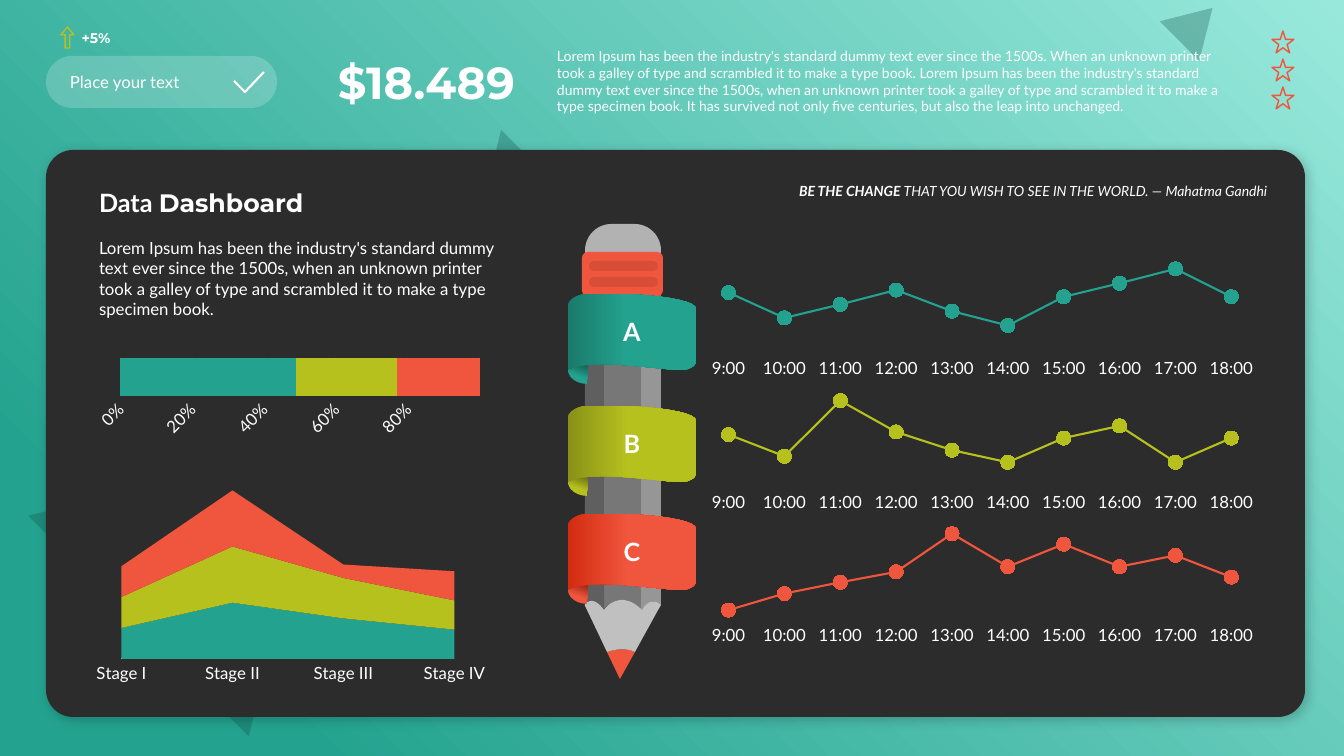
from lxml import etree
from pptx import Presentation
from pptx.chart.data import CategoryChartData
from pptx.dml.color import RGBColor
from pptx.enum.chart import XL_CHART_TYPE, XL_MARKER_STYLE, XL_TICK_MARK
from pptx.enum.shapes import MSO_SHAPE
from pptx.enum.text import MSO_ANCHOR, PP_ALIGN
from pptx.oxml import parse_xml
from pptx.oxml.ns import nsdecls, qn
from pptx.util import Pt

EMU_PER_PX = 914400 / 100.8
TEAL, LIME, CORAL, WHITE, DARK = "23A38F", "B7C11E", "F0563D", "FFFFFF", "2C2C2C"


def px(length):
    return round(length * EMU_PER_PX)


def rgb(color):
    return RGBColor.from_string(color)


class Dashboard:
    """Draws the elements of one slide in a shared style."""

    body = {"name": "Lato", "size": Pt(12), "bold": False, "italic": False}

    def __init__(self):
        self.deck = Presentation()
        self.deck.slide_width, self.deck.slide_height = px(1344), px(756)
        self.slide = self.deck.slides.add_slide(self.deck.slide_layouts[6])
        self.shapes = self.slide.shapes
        backdrop = self.slide.background.fill
        backdrop.solid()
        backdrop.fore_color.rgb = rgb(DARK)

    def style(self, font, color=WHITE, **formats):
        for key, value in {**self.body, **formats}.items():
            setattr(font, key, value)
        font.color.rgb = rgb(color)

    def paint(self, shape, color, alpha=100, line=None, weight=1):
        shape.shadow.inherit = False
        if color is None:
            shape.fill.background()
        else:
            shape.fill.solid()
            shape.fill.fore_color.rgb = rgb(color)
        if alpha < 100:
            tone = shape.fill._xPr.find(".//" + qn("a:srgbClr"))
            etree.SubElement(tone, qn("a:alpha"), val=str(alpha * 1000))
        if line:
            shape.line.color.rgb = rgb(line)
            shape.line.width = Pt(weight)
        else:
            shape.line.fill.background()
        return shape

    def blend(self, shape, stops, angle=0):
        shape.fill.gradient()
        shape.fill.gradient_angle = angle
        for stop, (position, color) in zip(shape.fill.gradient_stops, stops):
            stop.position = position
            stop.color.rgb = rgb(color)
        return shape

    def preset(self, kind, box, color, adjust=(), rotation=0, **look):
        shape = self.shapes.add_shape(kind, *map(px, box))
        for index, value in enumerate(adjust):
            shape.adjustments[index] = value
        shape.rotation = rotation
        return self.paint(shape, color, **look)

    def outline(self, steps, color, top=0, close=True, **look):
        points = [steps[0]]
        for step in steps[1:]:
            if len(step) == 2:
                points.append(step)
                continue
            (x0, y0), (x1, y1, x2, y2, x3, y3) = points[-1], step
            for t in (n / 12 for n in range(1, 13)):
                u = 1 - t
                weights = u ** 3, 3 * u * u * t, 3 * u * t * t, t ** 3
                points.append(tuple(sum(w * v for w, v in zip(weights, axis))
                                    for axis in ((x0, x1, x2, x3), (y0, y1, y2, y3))))
        points = [(px(x), px(y + top)) for x, y in points]
        builder = self.shapes.build_freeform(*points[0], scale=1.0)
        builder.add_line_segments(points[1:], close=close)
        return self.paint(builder.convert_to_shape(), color, **look)

    def typeset(self, frame, runs, align=PP_ALIGN.LEFT, anchor=MSO_ANCHOR.MIDDLE, inset=10, after=0):
        layout = {"word_wrap": True, "vertical_anchor": anchor, "margin_left": px(inset),
                  "margin_right": px(inset), "margin_top": px(5), "margin_bottom": px(5)}
        for key, value in layout.items():
            setattr(frame, key, value)
        paragraph = frame.paragraphs[0]
        paragraph.alignment = align
        paragraph.space_after = Pt(after)
        for words, formats in runs:
            run = paragraph.add_run()
            run.text = words
            self.style(run.font, **formats)

    def text(self, box, *runs, **layout):
        self.typeset(self.shapes.add_textbox(*map(px, box)).text_frame, runs, **layout)

    def chart(self, kind, box, categories, rows, area, top=None):
        data = CategoryChartData()
        data.categories = categories
        for number, (_, values) in enumerate(rows, 1):
            data.add_series(f"Series {number}", values)
        chart = self.shapes.add_chart(kind, *map(px, box), data).chart
        chart.has_legend = chart.has_title = False
        self.style(chart.font)
        for axis in (chart.category_axis, chart.value_axis):
            axis.major_tick_mark = axis.minor_tick_mark = XL_TICK_MARK.NONE
            axis.has_major_gridlines = False
            axis.format.line.fill.background()
            self.style(axis.tick_labels.font)
        if top:
            chart.value_axis.minimum_scale, chart.value_axis.maximum_scale = 0, top
            chart.value_axis.visible = False
        chart.plots[0].vary_by_categories = False
        for series, (color, _) in zip(chart.plots[0].series, rows):
            if kind == XL_CHART_TYPE.LINE_MARKERS:
                series.smooth = False
                series.format.line.color.rgb = rgb(color)
                series.format.line.width = Pt(1.5)
                series.marker.style, series.marker.size = XL_MARKER_STYLE.CIRCLE, 10
                series.marker.format.line.fill.background()
                fill = series.marker.format.fill
            else:
                fill = series.format.fill
            fill.solid()
            fill.fore_color.rgb = rgb(color)
        plot = chart._chartSpace.find(".//" + qn("c:plotArea"))
        for old in plot.findall(qn("c:layout")):
            plot.remove(old)
        sides = "".join(f'<c:{side} val="{value}"/>' for side, value in zip("xywh", area))
        plot.insert(0, parse_xml(
            f'<c:layout {nsdecls("c")}><c:manualLayout><c:layoutTarget val="inner"/>'
            f'<c:xMode val="edge"/><c:yMode val="edge"/>{sides}</c:manualLayout></c:layout>'))
        return chart


def main():
    board = Dashboard()
    rect, rounded, triangle = MSO_SHAPE.RECTANGLE, MSO_SHAPE.ROUNDED_RECTANGLE, MSO_SHAPE.ISOSCELES_TRIANGLE
    glow = board.blend(board.preset(rect, (0, 0, 1344, 756), TEAL), [(0, "98E9DC"), (0.85, TEAL)])
    linear = glow.fill._xPr.find(".//" + qn("a:lin"))
    linear.getparent().replace(linear, parse_xml(
        f'<a:path {nsdecls("a")} path="circle"><a:fillToRect l="100000" b="100000"/></a:path>'))
    for box, turn in (((74, 405, 312, 259), 45), ((461, 151, 91, 76), 225), ((1168, 1, 56, 47), 45)):
        board.preset(triangle, box, "115248", rotation=turn, alpha=30)

    board.preset(rounded, (46, 56, 231, 52), WHITE, [0.5], alpha=20)
    board.outline([(234, 81), (245, 92), (264, 72)], None, close=False, line=WHITE, weight=1.5)
    board.text((60, 67, 190, 30), ("Place your text", {}))
    heavy = {"name": "Montserrat", "bold": True}
    board.text((322, 49, 203, 65), ("$18.489", {**heavy, "size": Pt(32)}), align=PP_ALIGN.RIGHT)
    board.text((547, 42, 704, 78), (
        "Lorem Ipsum has been the industry's standard dummy text ever since the 1500s. When an unknown "
        "printer took a galley of type and scrambled it to make a type book. Lorem Ipsum has been the "
        "industry's standard dummy text ever since the 1500s, when an unknown printer took a galley of type "
        "and scrambled it to make a type specimen book. It has survived not only five centuries, but also "
        "the leap into unchanged.", {"size": Pt(10)}), after=6)
    board.text((75, 24, 42, 27), ("+5%", {**heavy, "size": Pt(10)}), align=PP_ALIGN.CENTER, inset=0)
    board.preset(MSO_SHAPE.UP_ARROW, (61, 27, 13, 21), None, [0.35, 0.6], line=LIME)
    for rank in range(3):
        board.preset(MSO_SHAPE.STAR_5_POINT, (1272, 31 + 28 * rank, 22, 22), None, line=CORAL)

    panel = board.preset(rounded, (46, 150, 1259, 567), DARK, [0.048])
    panel._element.spPr.find(qn("a:effectLst")).append(parse_xml(
        f'<a:outerShdw {nsdecls("a")} blurRad="101600" dist="38100" dir="2700000" rotWithShape="0">'
        '<a:srgbClr val="000000"><a:alpha val="20000"/></a:srgbClr></a:outerShdw>'))

    stages = board.chart(
        XL_CHART_TYPE.AREA_STACKED, (89, 468, 406, 222), ["Stage I", "Stage II", "Stage III", "Stage IV"],
        [(TEAL, (55, 100, 72, 52)), (LIME, (55, 100, 72, 52)), (CORAL, (55, 100, 24, 52))],
        (0.08, 0, 0.82, 0.86), 340)
    stages._chartSpace.find(".//" + qn("c:crossBetween")).set("val", "midCat")
    stages.category_axis.format.line.color.rgb = rgb(WHITE)
    stages.category_axis.format.line.width = Pt(0.75)
    board.text((89, 233, 436, 92), (
        "Lorem Ipsum has been the industry's standard dummy text ever since the 1500s, when an unknown "
        "printer took a galley of type and scrambled it to make a type specimen book.", {}),
        anchor=MSO_ANCHOR.TOP)
    board.text((89, 183, 436, 40), ("Data ", {"size": Pt(18), "bold": True}),
               ("Dashboard", {**heavy, "size": Pt(18)}), anchor=MSO_ANCHOR.BOTTOM)
    shares = board.chart(XL_CHART_TYPE.BAR_STACKED_100, (88, 356, 404, 90), ["1"],
                         [(TEAL, [49]), (LIME, [28]), (CORAL, [23])], (0.08, 0.02, 0.89, 0.42))
    shares.plots[0].gap_width, shares.plots[0].overlap = 0, 100
    shares.category_axis.visible = False
    percent = shares.value_axis
    percent.tick_labels.number_format, percent.tick_labels.number_format_is_linked = "0%", False
    percent.has_major_gridlines = True
    percent.major_gridlines.format.line.color.rgb = rgb(WHITE)
    percent.major_gridlines.format.line.width = Pt(0.75)
    percent._element.find(qn("c:txPr")).find(qn("a:bodyPr")).set("rot", "-2700000")

    board.outline([(635, 652), (620, 679), (607, 652), (608, 652, 622, 646, 635, 652)], CORAL)
    facets = [
        ("969696", 641, 20, [(642, 610), (641, 609), (641, 511), (661, 511), (661, 605),
                             (661, 605, 651, 594, 642, 610)]),
        ("777777", 604, 37, [(622, 600), (612, 600, 606, 607, 604, 609), (604, 511), (641, 511),
                             (641, 609), (639, 607, 632, 600, 622, 600)]),
        ("5F5F5F", 585, 19, [(604, 610), (604, 610, 598, 601, 592, 601), (588, 601, 586, 603, 585, 604),
                             (585, 511), (604, 511)])]
    for gray, _, _, shaft_end in facets:
        board.outline(shaft_end, gray)
    board.outline([(592, 601), (598, 601, 604, 610, 604, 610), (606, 607, 612, 600, 622, 600),
                   (632, 600, 639, 607, 641, 609), (642, 610), (651, 594, 661, 605, 661, 605),
                   (657, 612), (635, 652), (622, 646, 608, 652, 607, 652), (588, 612), (585, 606),
                   (585, 604), (586, 603, 588, 601, 592, 601)], "C0C0C0")
    for gray, left, width, _ in facets:
        board.preset(rect, (left, 291, width, 230), gray)
    board.preset(rect, (585, 287, 76, 14), "000000", alpha=20)
    board.preset(rounded, (585, 224, 76, 53), "B2B2B2", [0.5])
    board.preset(rounded, (582, 252, 81, 44), CORAL, [0.128])
    for groove_top in (261, 277):
        board.preset(rounded, (589, groove_top, 69, 10), "000000", [0.5], alpha=10)

    ribbon = [(696, 15), (697, 4, 635, -2, 585, 0), (577, 1, 568, 6, 568, 11), (568, 76),
              (590, 63, 659, 76, 681, 76), (689, 76, 696, 72, 696, 67)]
    for letter, top, color, shade, fold in (("C", 514, CORAL, "D22B10", "8C1D0B"),
                                            ("B", 406, LIME, "899117", "5B600F"),
                                            ("A", 294, TEAL, "1A7A6B", "115248")):
        curl = board.preset(MSO_SHAPE.CHORD, (568, top + 62, 39, 28), color, [54.609, 162])
        board.blend(curl, [(0.27, color), (0.69, fold)], 70)
        band = board.blend(board.outline(ribbon, color, top), [(0, shade), (0.47, color)])
        board.typeset(band.text_frame, [(letter, {"size": Pt(18), "bold": True})], align=PP_ALIGN.CENTER)

    quote = {"size": Pt(10), "italic": True}
    board.text((564, 177, 707, 27), ("BE THE CHANGE ", {**quote, "bold": True}),
               ("THAT YOU WISH TO SEE IN THE WORLD. ― Mahatma Gandhi", quote),
               align=PP_ALIGN.RIGHT, inset=4)
    hours = [f"{hour}:00" for hour in range(9, 19)]
    for top, color, peak, values in (
            (252, TEAL, 120, (72, 42, 58, 75, 50, 33, 67, 83, 100, 67)),
            (386, LIME, 117, (61, 36, 100, 64, 43, 29, 57, 71, 29, 57)),
            (519, CORAL, 117, (12, 31, 44, 56, 100, 62, 88, 62, 75, 50))):
        board.chart(XL_CHART_TYPE.LINE_MARKERS, (689, top, 582, 127), hours, [(color, values)],
                    (0.02, 0, 0.96, 0.8), peak)
    board.deck.save("out.pptx")


if __name__ == "__main__":
    main()
